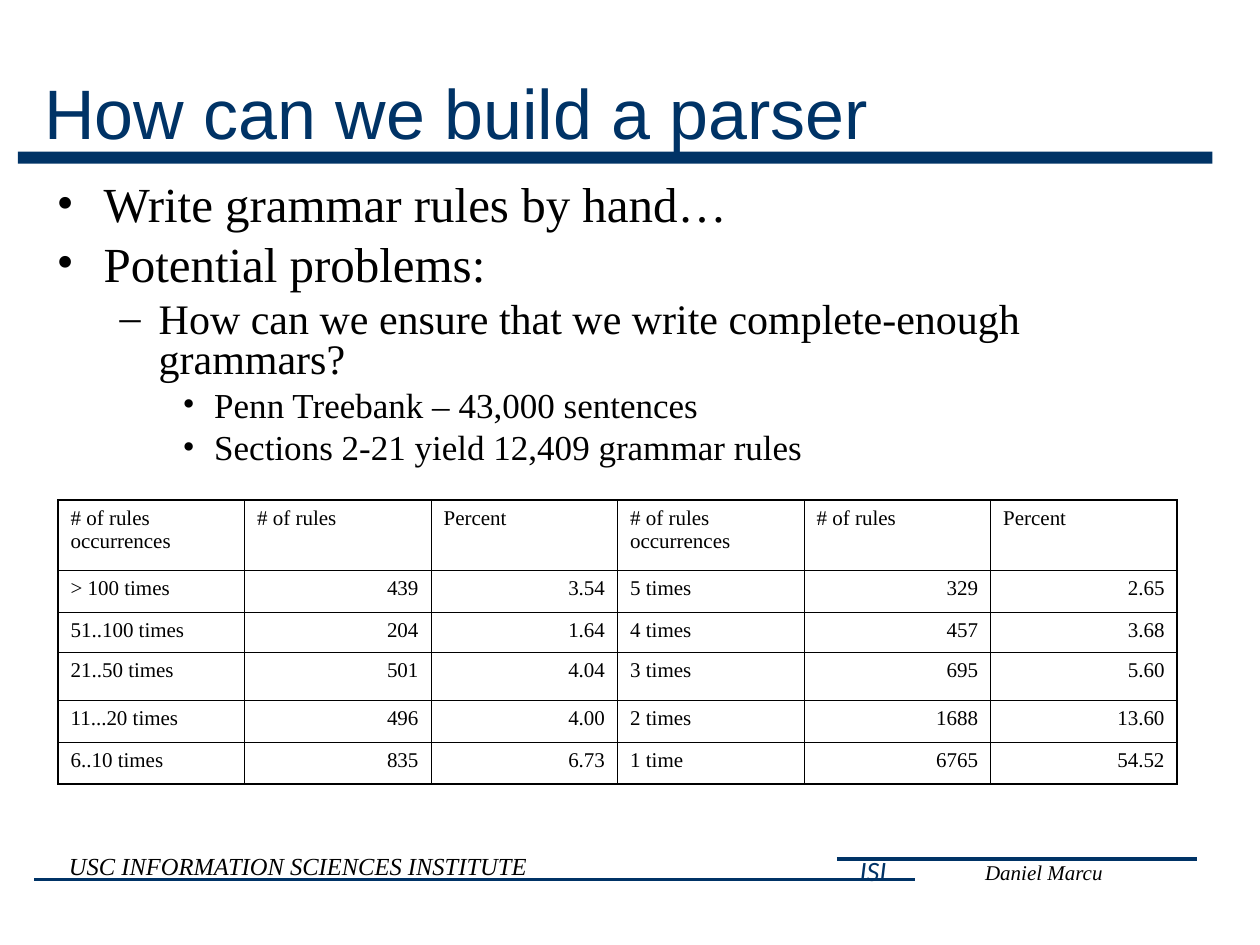
"""Build the slide about writing parser grammar rules by hand."""
from dataclasses import dataclass
from typing import NamedTuple

from lxml.etree import SubElement
from pptx import Presentation
from pptx.dml.color import RGBColor
from pptx.enum.shapes import MSO_CONNECTOR, MSO_SHAPE
from pptx.enum.text import MSO_ANCHOR, PP_ALIGN
from pptx.oxml.ns import qn
from pptx.util import Cm, Pt


@dataclass(frozen=True)
class Theme:
    navy: str = "003366"
    black: str = "000000"
    serif: str = "Times New Roman"
    sans: str = "Arial"
    label: str = "Calibri"
    title_size: int = 40
    level_sizes: tuple = (28, 24, 20)
    cell_size: int = 12
    rule_width: float = 2
    inner_border: float = 0.45
    outer_border: float = 1.08


THEME = Theme()


class Level(NamedTuple):
    bullet: str
    margin: float
    hanging: float
    space_before: float


class Point(NamedTuple):
    text: str
    level: int


class Rule(NamedTuple):
    left: float
    right: float
    top: float


class Label(NamedTuple):
    text: str
    area: tuple
    style: dict


LEVELS = (
    Level("•", 0.95, 0.95, 7),
    Level("–", 2.06, 0.79, 6),
    Level("•", 3.18, 0.64, 5),
)
POINTS = (
    Point("Write grammar rules by hand…", 0),
    Point("Potential problems:", 0),
    Point("How can we ensure that we write complete-enough grammars?", 1),
    Point("Penn Treebank – 43,000 sentences", 2),
    Point("Sections 2-21 yield 12,409 grammar rules", 2),
)
RULES = (Rule(0.69, 18.44, 17.73), Rule(16.87, 24.13, 17.32))
LABELS = (
    Label("ISI", (16.99, 17.07, 1.22, 0.94),
          dict(size=16, font=THEME.label, color=THEME.navy, italic=True, align=PP_ALIGN.CENTER)),
    Label("USC INFORMATION SCIENCES INSTITUTE", (1.14, 17.02, 9.75, 0.86),
          dict(size=14, italic=True)),
    Label("Daniel Marcu", (19.61, 17.2, 2.9, 0.76), dict(size=12, italic=True)),
)
HEADINGS = ("# of rules occurrences", "# of rules", "Percent") * 2
COUNTS = (
    ("> 100 times", "439", "3.54", "5 times", "329", "2.65"),
    ("51..100 times", "204", "1.64", "4 times", "457", "3.68"),
    ("21..50 times", "501", "4.04", "3 times", "695", "5.60"),
    ("11...20 times", "496", "4.00", "2 times", "1688", "13.60"),
    ("6..10 times", "835", "6.73", "1 time", "6765", "54.52"),
)
COLUMN_WIDTH = 3.76
ROW_HEIGHTS = (1.42, 0.84, 0.81, 0.97, 0.84, 0.84)


def write_text(paragraph, text: str, *, size: float, font: str = THEME.serif,
               color: str = THEME.black, italic: bool = False, align=PP_ALIGN.LEFT) -> None:
    """Put one formatted span into a paragraph."""
    paragraph.alignment = align
    span = paragraph.add_run()
    span.text = text
    span.font.size = Pt(size)
    span.font.name = font
    span.font.italic = italic
    span.font.color.rgb = RGBColor.from_string(color)


def add_frame(page, area: tuple, *, wrap: bool = True, anchor=MSO_ANCHOR.MIDDLE):
    """Add a text box and return its text frame."""
    frame = page.shapes.add_textbox(*map(Cm, area)).text_frame
    frame.word_wrap = wrap
    frame.vertical_anchor = anchor
    return frame


def add_bar(page, area: tuple) -> None:
    """Add the solid bar below the title."""
    bar = page.shapes.add_shape(MSO_SHAPE.RECTANGLE, *map(Cm, area))
    bar.shadow.inherit = False
    bar.fill.solid()
    bar.fill.fore_color.rgb = RGBColor.from_string(THEME.navy)
    bar.line.fill.background()


def add_rule(page, rule: Rule) -> None:
    """Add a horizontal footer line."""
    line = page.shapes.add_connector(
        MSO_CONNECTOR.STRAIGHT, Cm(rule.left), Cm(rule.top), Cm(rule.right), Cm(rule.top))
    line.line.color.rgb = RGBColor.from_string(THEME.navy)
    line.line.width = Pt(THEME.rule_width)
    SubElement(line._element.spPr, qn("a:effectLst"))


def add_point(paragraph, point: Point, first: bool) -> None:
    """Write a bulleted paragraph at its outline level."""
    level = LEVELS[point.level]
    paragraph.level = point.level
    paragraph.line_spacing = 0.8
    if not first:
        paragraph.space_before = Pt(level.space_before)
    properties = paragraph._p.get_or_add_pPr()
    properties.set("marL", str(Cm(level.margin)))
    properties.set("indent", str(-Cm(level.hanging)))
    SubElement(properties, qn("a:buFont"), typeface=THEME.serif)
    SubElement(properties, qn("a:buChar"), char=level.bullet)
    write_text(paragraph, point.text, size=THEME.level_sizes[point.level])


def set_borders(cell, outer_sides: dict) -> None:
    """Draw the four cell borders, heavier on the table's edge."""
    properties = cell._tc.get_or_add_tcPr()
    for side, outer in outer_sides.items():
        width = THEME.outer_border if outer else THEME.inner_border
        border = SubElement(properties, qn(f"a:ln{side}"), w=str(Pt(width)))
        fill = SubElement(border, qn("a:solidFill"))
        SubElement(fill, qn("a:srgbClr"), val=THEME.black)


def add_counts_table(page, left: float, top: float) -> None:
    """Add the table of rule occurrences."""
    rows = (HEADINGS, *COUNTS)
    last_row, last_column = len(rows) - 1, len(HEADINGS) - 1
    table = page.shapes.add_table(
        len(rows), len(HEADINGS), Cm(left), Cm(top),
        Cm(COLUMN_WIDTH * len(HEADINGS)), Cm(sum(ROW_HEIGHTS))).table
    table.first_row = table.horz_banding = False
    for column in table.columns:
        column.width = Cm(COLUMN_WIDTH)
    for r, (values, height) in enumerate(zip(rows, ROW_HEIGHTS)):
        table.rows[r].height = Cm(height)
        for c, value in enumerate(values):
            cell = table.cell(r, c)
            set_borders(cell, {"L": c == 0, "R": c == last_column,
                               "T": r == 0, "B": r == last_row})
            cell.fill.background()
            align = PP_ALIGN.RIGHT if r and c % 3 else PP_ALIGN.LEFT
            write_text(cell.text_frame.paragraphs[0], value, size=THEME.cell_size, align=align)


def main() -> None:
    """Build and save the deck."""
    deck = Presentation()
    deck.slide_width, deck.slide_height = Cm(25.4), Cm(19.05)
    page = deck.slides.add_slide(deck.slide_layouts[6])
    add_bar(page, (0.36, 3.06, 24.08, 0.24))
    for rule in RULES:
        add_rule(page, rule)
    for label in LABELS:
        frame = add_frame(page, label.area, wrap=False)
        write_text(frame.paragraphs[0], label.text, **label.style)
    title = add_frame(page, (0.64, 1.07, 23.5, 2.34))
    write_text(title.paragraphs[0], "How can we build a parser",
               size=THEME.title_size, font=THEME.sans, color=THEME.navy)
    body = add_frame(page, (0.89, 3.61, 22.56, 6.53), anchor=MSO_ANCHOR.TOP)
    for index, point in enumerate(POINTS):
        paragraph = body.add_paragraph() if index else body.paragraphs[0]
        add_point(paragraph, point, first=index == 0)
    add_counts_table(page, 1.17, 10.08)
    deck.save("out.pptx")


if __name__ == "__main__":
    main()
